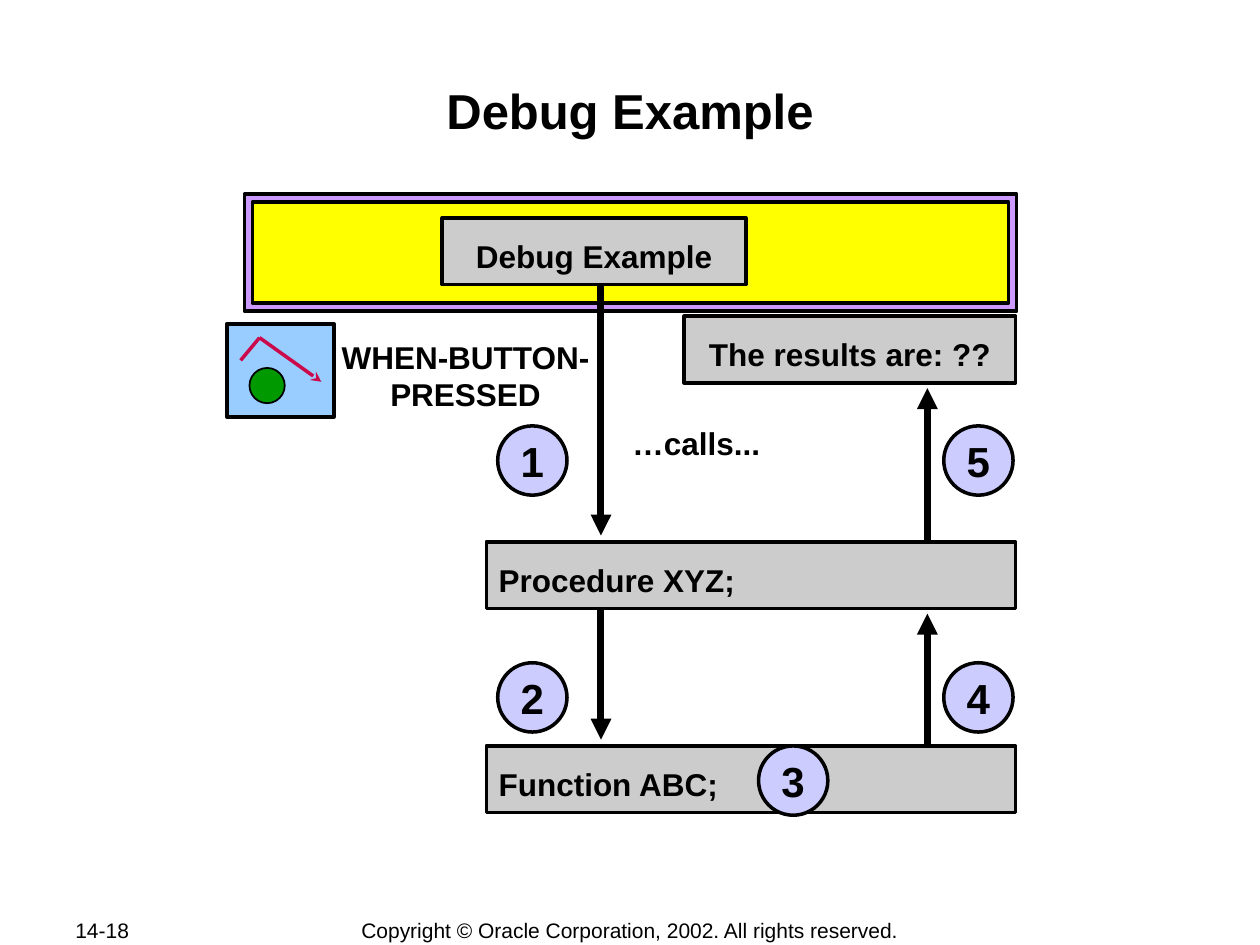
"""Builds the Debug Example slide on a grid of 100 columns by 75 rows."""
from pptx import Presentation, util as u
from pptx.dml.color import RGBColor
from pptx.enum import shapes, text
from pptx.oxml.ns import qn
from lxml import etree

CELL = u.Inches(0.1)
RECT, OVAL = shapes.MSO_SHAPE.RECTANGLE, shapes.MSO_SHAPE.OVAL
LEFT, CENTER = text.PP_ALIGN.LEFT, text.PP_ALIGN.CENTER
TOP, MIDDLE = text.MSO_ANCHOR.TOP, text.MSO_ANCHOR.MIDDLE
BLACK, GRAY, LILAC = "000000", "CCCCCC", "CCCCFF"
BAR_H, BADGE = 5.3, 5.5


def rgb(value):
    """Return the colour of a hex string."""
    return RGBColor.from_string(value)


def grid(*cells):
    """Turn grid cells into lengths."""
    return [u.Emu(round(c * CELL)) for c in cells]


def write(sp, lines, size, bold=True, align=CENTER, anchor=MIDDLE, inset=(1, 0.5), spacing=None):
    """Write one paragraph per line into a shape."""
    tf = sp.text_frame
    tf.word_wrap = True
    tf.auto_size = text.MSO_AUTO_SIZE.NONE
    tf.vertical_anchor = anchor
    tf.margin_left, tf.margin_top = grid(*inset)
    tf.margin_right, tf.margin_bottom = grid(*inset)
    for i, line in enumerate(lines):
        p = tf.add_paragraph() if i else tf.paragraphs[0]
        p.alignment = align
        if spacing:
            p.line_spacing = spacing
        r = p.add_run()
        r.text = line
        r.font.name, r.font.size, r.font.bold = "Arial", u.Pt(size), bold
        r.font.color.rgb = rgb(BLACK)


def label(s, box, lines, size=18, **style):
    """Add a text box."""
    write(s.shapes.add_textbox(*grid(*box)), lines, size, **style)


def block(s, kind, box, fill, weight=2):
    """Add a filled shape with a black outline."""
    sp = s.shapes.add_shape(kind, *grid(*box))
    sp.shadow.inherit = False
    sp.fill.solid()
    sp.fill.fore_color.rgb = rgb(fill)
    sp.line.color.rgb = rgb(BLACK)
    sp.line.width = u.Pt(weight)
    return sp


def bar(s, box, caption, align=CENTER):
    """Add a grey captioned bar."""
    write(block(s, RECT, box, GRAY), [caption], 18, align=align, spacing=1.25)


def badge(s, x, y, number):
    """Add a numbered step circle."""
    sp = block(s, OVAL, (x, y, BADGE, BADGE), LILAC)
    write(sp, [str(number)], 24, inset=(0, 0))


def line(s, ends, color=BLACK, weight=4, head=None):
    """Add a straight line, with an arrowhead if one is named."""
    c = s.shapes.add_connector(shapes.MSO_CONNECTOR.STRAIGHT, *grid(*ends))
    c.line.color.rgb = rgb(color)
    c.line.width = u.Pt(weight)
    if head:
        etree.SubElement(c.line._get_or_add_ln(), qn("a:tailEnd"), type=head)
    etree.SubElement(c._element.spPr, qn("a:effectLst"))


def title(s, box, caption):
    """Place the slide title."""
    sp = s.shapes.title
    sp.left, sp.top, sp.width, sp.height = grid(*box)
    write(sp, [caption], 28, anchor=TOP, inset=(0.1, 0.6))


def footer(s, box):
    """Place the page number and the copyright line."""
    x, y, w, h = box
    label(s, (x, y, 10.6, h), ["14-18"], 12, bold=False, align=LEFT)
    label(s, (x, y, w, h), ["Copyright © Oracle Corporation, 2002. All rights reserved."], 12, bold=False)


def banner(s, box):
    """Draw the framed window with its button."""
    x, y, w, h = box
    block(s, RECT, box, "CC99FF")
    block(s, RECT, (x + 0.65, y + 0.65, w - 1.3, h - 1.3), "FFFF00")
    bar(s, (x + 15.7, y + 1.9, 24.1, BAR_H), "Debug Example")


def trigger(s, box):
    """Draw the trigger icon and its name."""
    x, y, w, h = box
    block(s, RECT, box, "99CCFF")
    block(s, OVAL, (x + 1.8, y + 3.5, 2.8, 2.8), "009900", 1)
    peak = (x + 2.6, y + 1.1)
    line(s, (*peak, x + 1.1, y + 2.9), "CB0A4C", 2)
    line(s, (*peak, x + 7.5, y + 4.6), "CB0A4C", 2, "stealth")
    label(s, (x + w - 0.9, y + 0.6, 22.7, 7), ["WHEN-BUTTON-", "PRESSED"], anchor=TOP)


def flow(s, box):
    """Draw the calls going down and the results coming back up."""
    x, y, w, h = box
    right, bottom = x + w, y + h
    procedure, function = bottom - BAR_H - 16.2, bottom - BAR_H
    down, up = x + 9.1, right - 7
    bar(s, (right - 26.3, y, 26.3, BAR_H), "The results are: ??")
    bar(s, (x, procedure, w, BAR_H), "Procedure XYZ;", LEFT)
    bar(s, (x, function, w, BAR_H), "Function ABC;", LEFT)
    for start, end in ((y - 2.5, procedure), (procedure + BAR_H, function)):
        line(s, (down, start, down, end - 0.5), head="triangle")
    for start, end in ((function, procedure), (procedure, y)):
        line(s, (up, start, up, end + BAR_H + 0.4), head="triangle")
    near, far = x + 0.9, right - BADGE - 0.2
    upper, lower = y + 8.7, function - 6.6
    steps = ((near, upper), (near, lower), (x + 21.6, function), (far, lower), (far, upper))
    for number, (left, top) in enumerate(steps, 1):
        badge(s, left, top, number)
    label(s, (x + 10.6, y + 8.1, 13, 4), ["…calls..."], align=LEFT, anchor=TOP)


def main():
    """Build and save the slide."""
    prs = Presentation()
    prs.slide_width, prs.slide_height = grid(100, 75)
    s = prs.slides.add_slide(prs.slide_layouts[5])
    title(s, (10, 5.8, 80, 9.6), "Debug Example")
    footer(s, (5, 72.8, 90, 2))
    banner(s, (19.4, 15.4, 61.3, 9.3))
    trigger(s, (18, 25.7, 8.5, 7.4))
    flow(s, (38.6, 25.1, 42, 39.4))
    prs.save("out.pptx")


if __name__ == "__main__":
    main()
